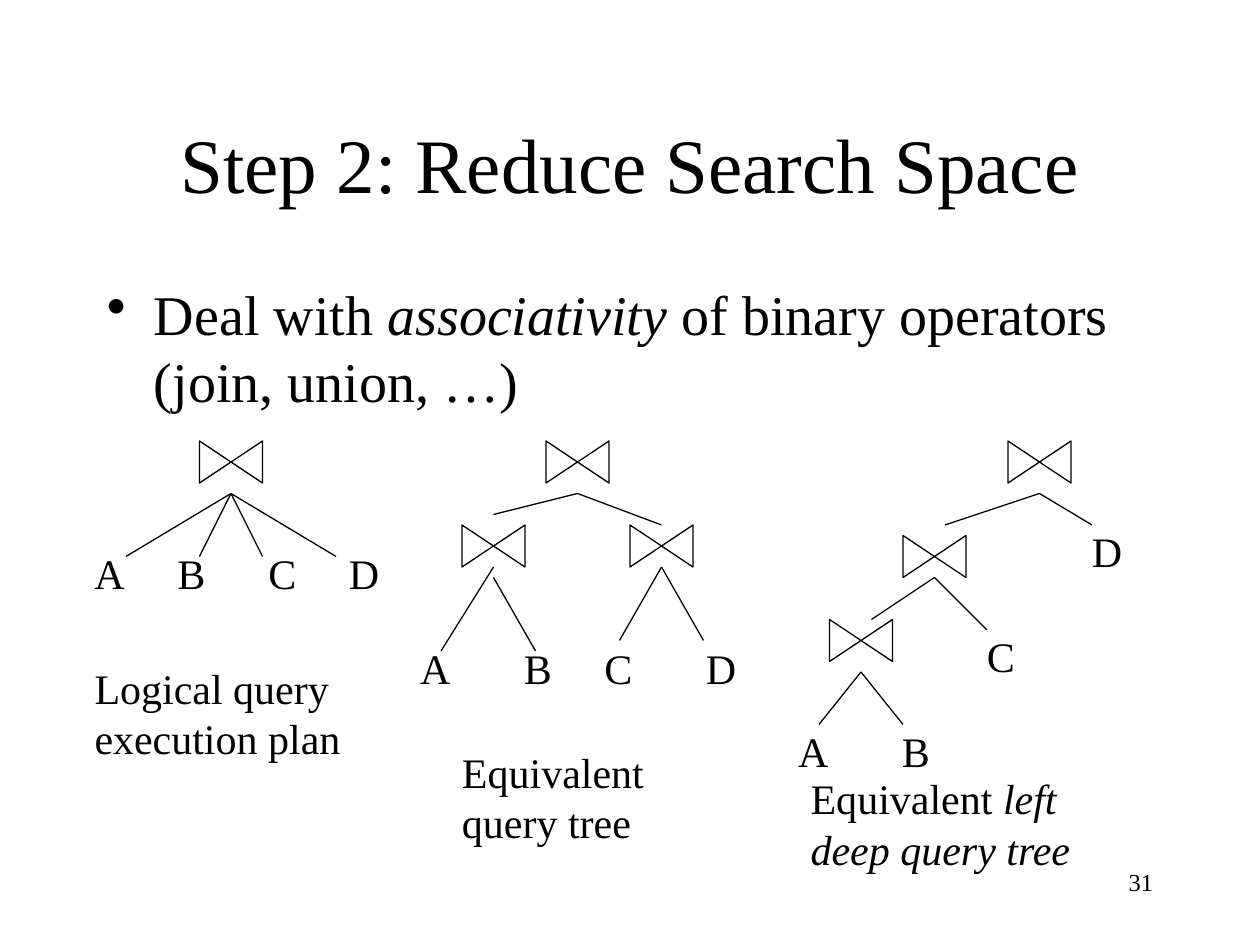
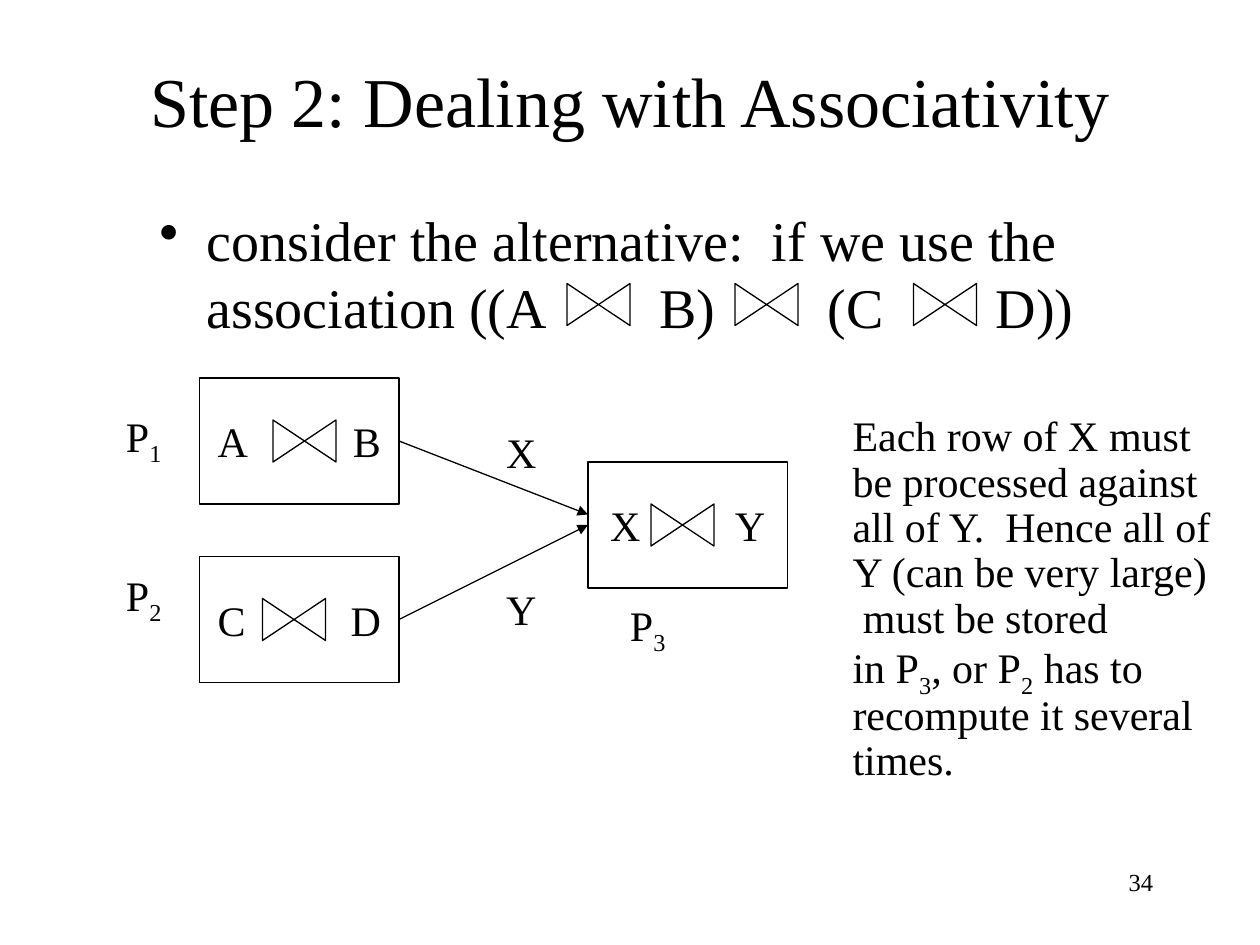
from lxml.etree import SubElement
from pptx import Presentation
from pptx.dml.color import RGBColor
from pptx.enum.shapes import MSO_CONNECTOR as Line, MSO_SHAPE as Shape
from pptx.enum.text import MSO_ANCHOR as Anchor, MSO_AUTO_SIZE as AutoSize, PP_ALIGN as Align
from pptx.oxml.ns import qn
from pptx.util import Cm, Pt

COLORS = {"ink": "000000", "paper": "FFFFFF"}
FONT = "Times New Roman"
INSET = Cm(0.25)


def grid(steps):
    """Both slides sit on a grid of twelve steps to the inch."""
    return Cm(steps * 2.54 / 12)


def color(name):
    return RGBColor.from_string(COLORS[name])


def italic(text):
    return text, {"i": "1"}


def sub(text):
    return text, {"baseline": "-25000"}


def write(frame, paragraphs, size=24, align=Align.LEFT, anchor=Anchor.TOP,
          wrap=True, spacing=None, before=0, bullet=False):
    """Each paragraph is a list of pieces: text, (text, attributes),
    or a number that opens a gap of that many quarter ems."""
    frame.word_wrap = wrap
    frame.vertical_anchor = anchor
    for index, pieces in enumerate(paragraphs):
        paragraph = frame.add_paragraph() if index else frame.paragraphs[0]
        paragraph.alignment = align
        if spacing:
            paragraph.line_spacing = spacing
        if index and before:
            paragraph.space_before = Pt(before)
        if bullet:
            properties = paragraph._p.get_or_add_pPr()
            properties.set("marL", str(Cm(0.95)))
            properties.set("indent", str(-Cm(0.95)))
            SubElement(properties, qn("a:buChar"), char="•")
        for piece in pieces:
            if isinstance(piece, int):
                piece = " ", {"spc": str((piece - 1) * size * 25)}
            text, attributes = (piece, {}) if isinstance(piece, str) else piece
            run = paragraph.add_run()
            run.text = text
            run.font.name = FONT
            run.font.size = Pt(size)
            run.font.color.rgb = color("ink")
            for key, value in attributes.items():
                run._r.get_or_add_rPr().set(key, value)


class Deck:
    def __init__(self):
        self.prs = Presentation()
        self.prs.slide_width, self.prs.slide_height = Cm(25.4), Cm(19.05)
        self.shapes = None

    def new_slide(self, number):
        slide = self.prs.slides.add_slide(self.prs.slide_layouts[6])
        slide.background.fill.solid()
        slide.background.fill.fore_color.rgb = color("paper")
        self.shapes = slide.shapes
        self.text((86, 82, 25, 6), [[number]], size=14, align=Align.RIGHT)

    def text(self, place, paragraphs, **style):
        box = self.shapes.add_textbox(*map(grid, place))
        write(box.text_frame, paragraphs, **style)
        return box

    def title(self, place, text, size):
        self.text(place, [[text]], size=size, align=Align.CENTER, anchor=Anchor.MIDDLE)

    def body(self, place, pieces):
        self.text(place, [pieces], size=32, bullet=True)

    def label(self, place, *paragraphs, **style):
        """Unwrapped text whose letters start at the given left."""
        box = self.text(place, paragraphs, wrap=False, **style)
        box.left -= INSET
        box.text_frame.auto_size = AutoSize.SHAPE_TO_FIT_TEXT

    def outline(self, shape):
        shape.shadow.inherit = False
        shape.fill.solid()
        shape.fill.fore_color.rgb = color("paper")
        shape.line.color.rgb = color("ink")
        shape.line.width = Pt(0.75)

    def processor(self, x, y, *pieces):
        box = self.shapes.add_shape(Shape.RECTANGLE, *map(grid, (x, y, 19, 12)))
        self.outline(box)
        write(box.text_frame, [pieces], align=Align.CENTER,
              anchor=Anchor.MIDDLE, wrap=False)

    def join(self, x, y):
        """Bow tie centred on x, y: two triangles that meet at their tips."""
        group = self.shapes.add_group_shape()
        for shift, turn in ((-1.5, 90), (1.5, 270)):
            half = group.shapes.add_shape(
                Shape.ISOSCELES_TRIANGLE,
                *map(grid, (x + shift - 2, y - 1.5, 4, 3)))
            half.rotation = turn
            self.outline(half)

    def line(self, start, end, arrow=False):
        link = self.shapes.add_connector(Line.STRAIGHT, *map(grid, start + end))
        link.line.color.rgb = color("ink")
        link.line.width = Pt(0.75)
        if arrow:
            SubElement(link.line._get_or_add_ln(), qn("a:tailEnd"), type="triangle")
        SubElement(link._element.spPr, qn("a:effectLst"))

    def branches(self, start, *ends):
        for end in ends:
            self.line(start, end)


def reduce_search_space(deck):
    deck.new_slide("31")
    deck.title((9, 8, 102, 15), "Step 2: Reduce Search Space", 44)
    deck.body((9, 26, 102, 59), ["Deal with ", italic("associativity"),
                                 " of binary operators (join, union, …)"])

    # Logical plan
    deck.branches((22, 47), (12, 53), (19, 53), (25, 53), (32, 53))
    deck.label((9, 51.6, 29.5, 6), ["A", 5, "B", 6, "C", 5, "D"])
    deck.label((9, 62.5, 25.8, 10.8), ["Logical query"], ["execution plan"])

    # Balanced tree
    deck.branches((55, 47), (47, 49), (63, 50))
    deck.branches((47, 54), (42, 62))
    deck.branches((47, 55), (51, 62))
    deck.branches((63, 54), (59, 61), (67, 61))
    deck.label((40, 60.6, 32.5, 6), ["A", 7, "B", 5, "C", 7, "D"])
    deck.label((44, 70.5, 19.7, 10.8), ["Equivalent"], ["query tree"])

    # Left deep tree
    deck.branches((99, 47), (90, 50), (104, 50))
    deck.branches((89, 55), (83, 59), (94, 60))
    deck.branches((82, 64), (78, 69), (86, 69))
    deck.label((104, 49.5, 5.3, 6), ["D"])
    deck.label((94, 59.5, 5, 6), ["C"])
    deck.label((76, 68.5, 15, 6), ["A", 7, "B"])
    deck.label((77.2, 73, 27.2, 10.8), ["Equivalent ", italic("left")],
               [italic("deep query tree")])

    for x, y in ((22, 44), (55, 44), (47, 52), (63, 52), (99, 44), (89, 53), (82, 61)):
        deck.join(x, y)


def dealing_with_associativity(deck):
    deck.new_slide("34")
    deck.title((10, 4, 100, 11), "Step 2: Dealing with Associativity", 40)
    deck.body((14, 19, 100, 16),
              ["consider the alternative:  if we use the association ((A",
               8, "B)", 8, "(C", 8, "D))"])

    # Processors and the streams between them
    deck.processor(19, 36, "A", 10, "B")
    deck.processor(19, 53, "C", 10, "D")
    deck.processor(56, 44, "X", 9, "Y")
    deck.line((38, 42), (56, 49), arrow=True)
    deck.line((38, 59), (56, 50), arrow=True)
    deck.label((48.2, 40, 5.3, 6), ["X"])
    deck.label((48.2, 55, 5.3, 6), ["Y"])
    deck.label((12, 38.5, 6, 20.4), ["P", sub("1")], ["P", sub("2")], before=58)
    deck.label((60, 56.5, 6, 6), ["P", sub("3")])

    # Cost of this association
    deck.label((81.2, 39, 37.2, 35.8),
               ["Each row of X must"], ["be processed against"],
               ["all of Y.  Hence all of"], ["Y (can be very large)"],
               [" must be stored"],
               ["in P", sub("3"), ", or P", sub("2"), " has to"],
               ["recompute it several"], ["times."], spacing=0.9)

    for x, y in ((57, 29), (73, 29), (90, 29), (29, 42), (65, 50), (28, 59)):
        deck.join(x, y)


def main():
    deck = Deck()
    reduce_search_space(deck)
    dealing_with_associativity(deck)
    deck.prs.save("out.pptx")


if __name__ == "__main__":
    main()
